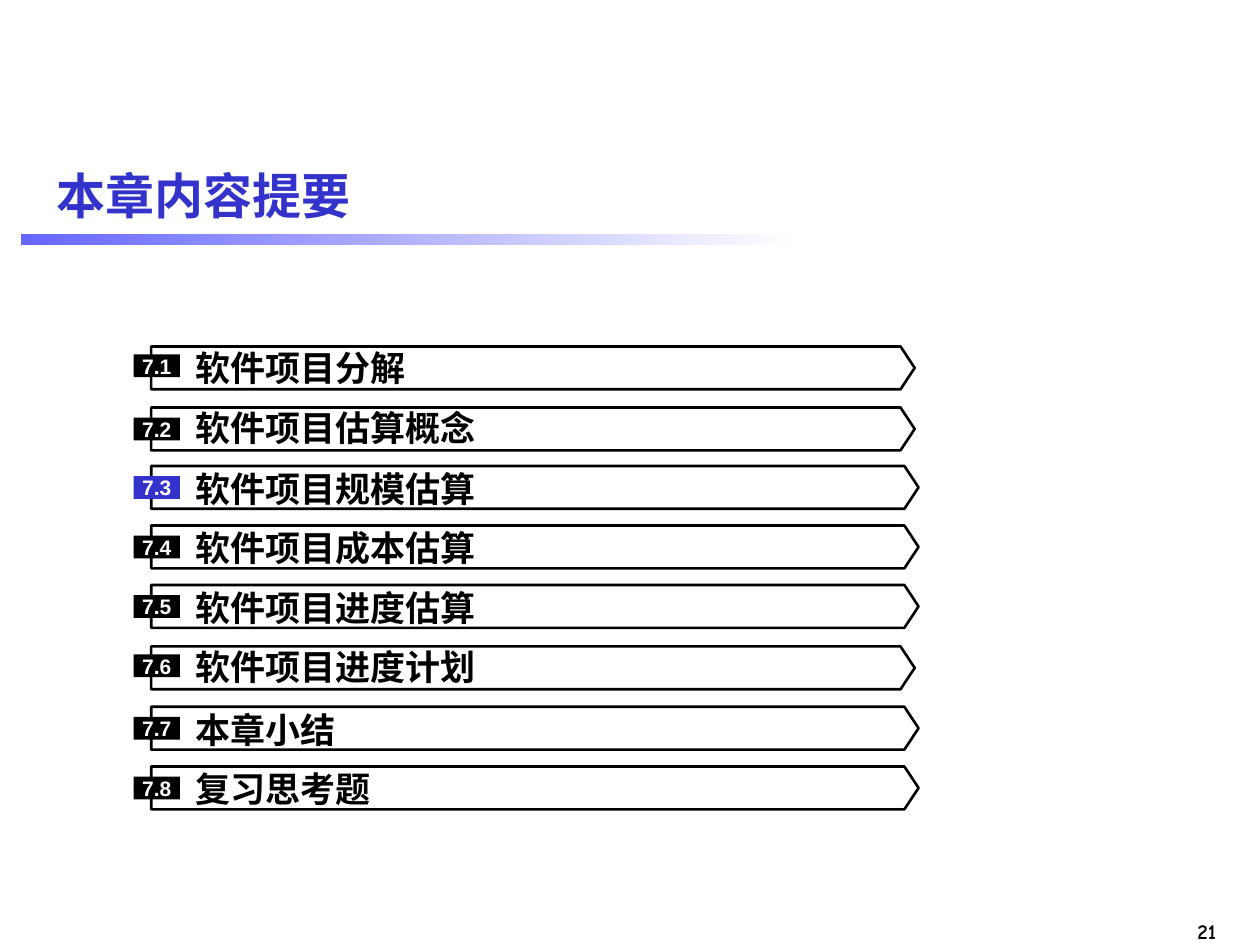
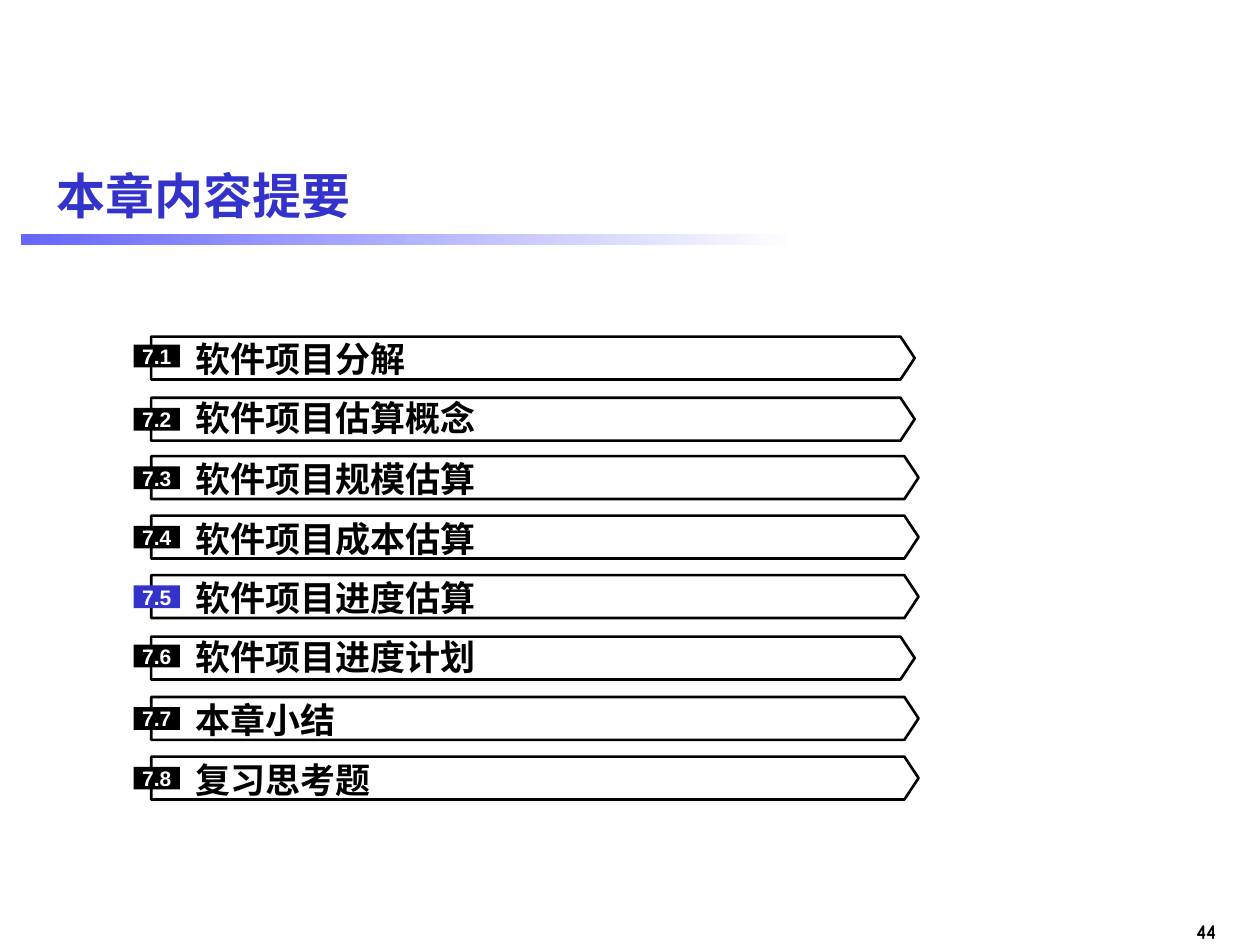
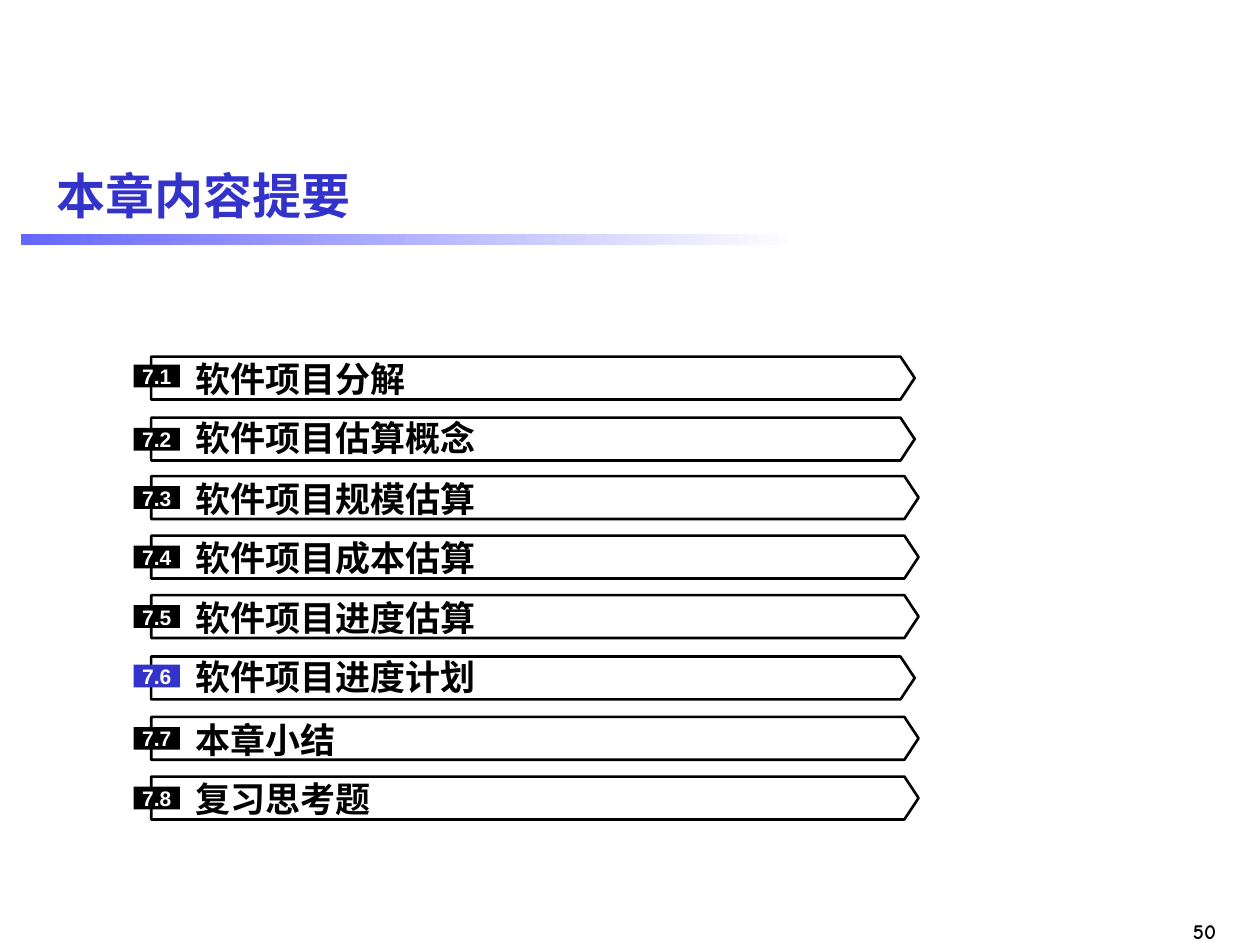
from collections import namedtuple

from pptx import Presentation
from pptx.dml.color import RGBColor
from pptx.enum.shapes import MSO_SHAPE
from pptx.enum.text import MSO_ANCHOR, PP_ALIGN
from pptx.util import Pt

RECTANGLE = MSO_SHAPE.RECTANGLE
PENTAGON = MSO_SHAPE.PENTAGON
MIDDLE = MSO_ANCHOR.MIDDLE
LEFT, CENTER, RIGHT = PP_ALIGN.LEFT, PP_ALIGN.CENTER, PP_ALIGN.RIGHT

BLACK, WHITE = "000000", "FFFFFF"
ACCENT, BAND = "3333CC", "6666FF"

# Arrow top within the list, arrow width, and shifts from the arrow's middle
Section = namedtuple("Section", "title top width title_shift badge_shift")
SECTIONS = [
    Section("软件项目分解", 0, 436.3, 0, -1.2),
    Section("软件项目估算概念", 34.9, 436.3, -1, 0),
    Section("软件项目规模估算", 68.3, 438.5, 0.5, 0),
    Section("软件项目成本估算", 102.3, 438.5, 0.5, 0),
    Section("软件项目进度估算", 136.3, 438.5, 0.5, 0),
    Section("软件项目进度计划", 171.4, 436.3, -1, -1.2),
    Section("本章小结", 205.9, 438.5, 0.5, 0),
    Section("复习思考题", 240, 438.5, 0.5, 0),
]

# Page number, current section, top of the list
PAGES = [(21, 3, 198), (44, 5, 192.4), (50, 6, 203.8)]

ARROW_LEFT, ARROW_HEIGHT = 86.4, 24.5
TITLE_LEFT = 111.6
BADGE_LEFT, BADGE_WIDTH, BADGE_HEIGHT = 76.4, 26.4, 13


def color(value):
    return RGBColor.from_string(value)


def write(box, text, size, font, ink, align=LEFT, inset=0):
    frame = box.text_frame
    frame.margin_left = frame.margin_right = Pt(inset)
    frame.margin_top = frame.margin_bottom = Pt(inset / 2)
    frame.vertical_anchor = MIDDLE
    para = frame.paragraphs[0]
    para.text = text
    para.alignment = align
    para.font.name = font
    para.font.size = Pt(size)
    para.font.bold = True
    para.font.color.rgb = color(ink)


def add_text(shapes, left, top, width, height, *style, wrap=True, **options):
    box = shapes.add_textbox(Pt(left), Pt(top), Pt(width), Pt(height))
    box.text_frame.word_wrap = wrap
    write(box, *style, **options)


def add_plain_shape(shapes, kind, left, top, width, height):
    """Add a preset shape with no shadow, fill or line."""
    shape = shapes.add_shape(kind, Pt(left), Pt(top), Pt(width), Pt(height))
    shape.shadow.inherit = False
    shape.fill.background()
    shape.line.fill.background()
    return shape


def add_frame(page, number):
    """Add the title, the fading band and the page number."""
    band = add_plain_shape(page.shapes, RECTANGLE, 12, 133.8, 444.2, 6)
    band.fill.gradient()
    band.fill.gradient_angle = 0
    for stop, value in zip(band.fill.gradient_stops, (BAND, WHITE)):
        stop.color.rgb = color(value)
    add_text(page.shapes, 25.2, 82.8, 680.4, 56.9,
             "本章内容提要", 28, "Arial", ACCENT, inset=7.2)
    add_text(page.shapes, 662.4, 521.3, 39.6, 21.6,
             str(number), 12, "Comic Neue", BLACK,
             align=RIGHT, inset=7.2, wrap=False)


def add_section(page, number, section, list_top, is_current):
    shapes = page.shapes.add_group_shape().shapes
    top = list_top + section.top
    middle = top + ARROW_HEIGHT / 2

    arrow = add_plain_shape(shapes, PENTAGON, ARROW_LEFT, top,
                            section.width, ARROW_HEIGHT)
    arrow.adjustments[0] = 0.33
    arrow.line.color.rgb = color(BLACK)
    arrow.line.width = Pt(1.5)

    add_text(shapes, TITLE_LEFT, top + section.title_shift, 382, ARROW_HEIGHT,
             section.title, 20, "Times New Roman", BLACK)

    badge_top = middle - BADGE_HEIGHT / 2 + section.badge_shift
    badge = add_plain_shape(shapes, RECTANGLE, BADGE_LEFT, badge_top,
                            BADGE_WIDTH, BADGE_HEIGHT)
    badge.fill.solid()
    badge.fill.fore_color.rgb = color(ACCENT if is_current else BLACK)
    write(badge, f"7.{number}", 12, "Arial", WHITE, align=CENTER)


def main():
    deck = Presentation()
    deck.slide_width, deck.slide_height = Pt(720), Pt(540)
    blank = deck.slide_layouts[6]
    for page_number, current, list_top in PAGES:
        page = deck.slides.add_slide(blank)
        add_frame(page, page_number)
        for number, section in enumerate(SECTIONS, start=1):
            add_section(page, number, section, list_top, number == current)
    deck.save("out.pptx")


if __name__ == "__main__":
    main()
